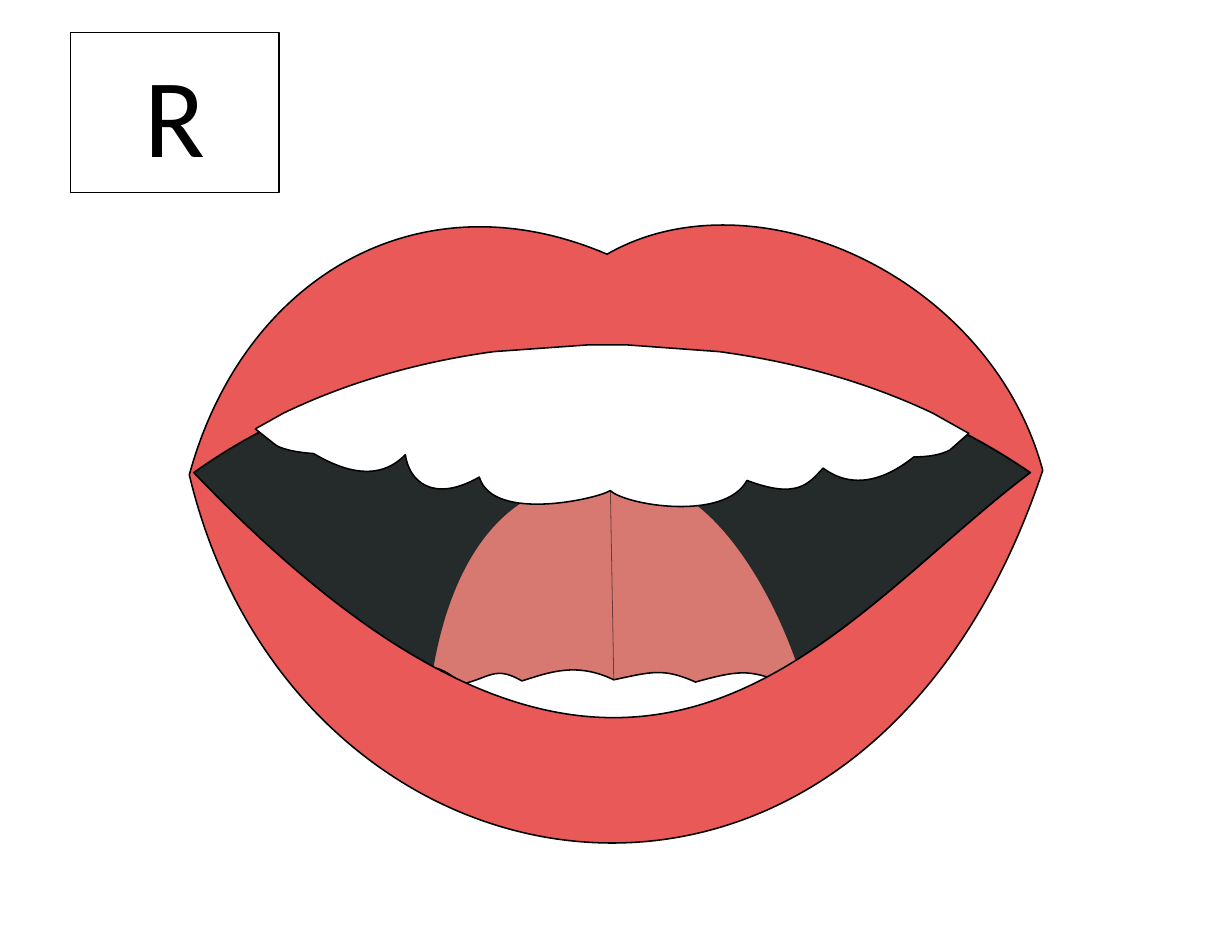
from lxml import etree
from pptx import Presentation
from pptx.dml.color import RGBColor
from pptx.enum.shapes import MSO_CONNECTOR, MSO_SHAPE
from pptx.enum.text import MSO_ANCHOR, MSO_AUTO_SIZE, PP_ALIGN
from pptx.oxml.ns import qn
from pptx.util import Inches, Pt

WHITE = RGBColor(0xFF, 0xFF, 0xFF)
BLACK = RGBColor(0, 0, 0)
DARK = RGBColor(0x25, 0x2B, 0x2A)
PINK = RGBColor(0xD7, 0x79, 0x71)
RED = RGBColor(0xE9, 0x59, 0x58)

# Each outline is a start point, then segments: two numbers make
# a straight line, six make a cubic curve. Inches from the mouth's corner.
CAVITY = [(4.44, 1.12),
          (5.79, 1.12, 7.14, 1.49, 8.2, 2.22),
          (6.34, 3.62, 4.68, 6.35, 0.73, 2.22),
          (1.75, 1.49, 3.09, 1.12, 4.44, 1.12)]
TONGUE = [(4.49, 2.31),
          (5.54, 2.04, 6.36, 4.24, 6.24, 4.62),
          (4.67, 6.04, 3.16, 5.08, 2.79, 4.74),
          (2.83, 3.1, 3.48, 2.17, 4.49, 2.31)]
LOWER = [(2.72, 4.59),
         (1.9, 4.55, 2.6, 3.57, 3.12, 4.11),
         (3.38, 4.05, 3.42, 3.94, 3.66, 4.08),
         (3.91, 4, 4.15, 3.91, 4.48, 4.07),
         (4.81, 4, 4.92, 3.96, 5.21, 4.09),
         (5.67, 3.96, 5.7, 4, 6.03, 4.1),
         (6.62, 3.63, 7.14, 4.53, 6.59, 4.61),
         (4.98, 4.87, 4.08, 5.03, 2.72, 4.59)]
LIPS = [(5.52, 0.01),
        (6.69, 0.04, 7.96, 0.9, 8.31, 2.2),
        (6.69, 7.05, 1.63, 6.19, 0.69, 2.24),
        (1.17, 0.48, 2.74, -0.45, 4.42, 0.27),
        (4.75, 0.08, 5.13, 0, 5.52, 0.01)]
UPPER = [(4.25, 1.08), (4.6, 1.08), (5.42, 1.14),
         (6.09, 1.23, 6.74, 1.41, 7.33, 1.69),
         (7.65, 1.87), (7.48, 2.02),
         (7.4, 2.06, 7.3, 2.08, 7.16, 2.08),
         (6.91, 2.28, 6.62, 2.38, 6.35, 2.18),
         (6.22, 2.32, 6.12, 2.46, 5.67, 2.29),
         (5.47, 2.66, 4.58, 2.51, 4.45, 2.38),
         (4.35, 2.45, 3.4, 2.67, 3.28, 2.26),
         (2.86, 2.5, 2.65, 2.29, 2.62, 2.06),
         (2.35, 2.34, 1.99, 2.16, 1.8, 2.05),
         (1.66, 2.04, 1.55, 2.02, 1.47, 1.98),
         (1.28, 1.83), (1.53, 1.69),
         (2.11, 1.41, 2.75, 1.23, 3.41, 1.14),
         (4.25, 1.08)]
# Frame (left, top, width, height), outlines, fill, line; back to front.
PARTS = [((0.73, 1.12, 7.46, 3.29), [CAVITY], DARK, BLACK),
         ((2.79, 2.28, 3.46, 3.09), [TONGUE], PINK, DARK),
         ((2.34, 3.95, 4.48, 0.92), [LOWER], WHITE, BLACK),
         ((0.69, 0.01, 7.62, 5.52), [LIPS, CAVITY], RED, BLACK),
         ((1.28, 1.08, 6.37, 1.44), [UPPER], WHITE, BLACK)]


def paint(shape, fill, line):
    shape.fill.solid()
    shape.fill.fore_color.rgb = fill
    shape.line.color.rgb = line
    shape.line.width = Pt(1)


def add_step(track, tag, nums, x, y):
    """Add one drawing step, its points measured from x, y."""
    step = etree.SubElement(track, qn(tag))
    for px, py in zip(nums[::2], nums[1::2]):
        etree.SubElement(step, qn("a:pt"), x=str(Inches(px - x)),
                         y=str(Inches(py - y)))


def add_part(group, left, top, frame, outlines):
    """Add a freeform with the given frame and curved outlines."""
    x, y, width, height = frame
    start = left + Inches(x), top + Inches(y)
    end = start[0] + Inches(width), start[1] + Inches(height)
    pen = group.shapes.build_freeform(*start, scale=1.0)
    pen.add_line_segments([end])
    part = pen.convert_to_shape()
    track = part.element.spPr.find(".//" + qn("a:path"))
    for step in list(track):
        track.remove(step)
    for first, *rest in outlines:
        add_step(track, "a:moveTo", first, x, y)
        for seg in rest:
            tag = "a:lnTo" if len(seg) == 2 else "a:cubicBezTo"
            add_step(track, tag, seg, x, y)
        etree.SubElement(track, qn("a:close"))
    part.shadow.inherit = False
    return part


def add_crease(group, left, top):
    crease = group.shapes.add_connector(
        MSO_CONNECTOR.STRAIGHT, left + Inches(4.45), top + Inches(2.38),
        left + Inches(4.48), top + Inches(4.07))
    crease.line.color.rgb = BLACK
    crease.line.width = Pt(0.5)
    props = crease.element.spPr
    color = props.find(".//" + qn("a:srgbClr"))
    etree.SubElement(color, qn("a:alpha"), val="50000")
    etree.SubElement(props, qn("a:effectLst"))


def add_mouth(slide, left, top):
    group = slide.shapes.add_group_shape()
    for frame, outlines, fill, line in PARTS:
        paint(add_part(group, left, top, frame, outlines), fill, line)
    add_crease(group, left, top)


def add_backdrop(slide, width, height):
    rect = slide.shapes.add_shape(MSO_SHAPE.RECTANGLE, 0, 0, width, height)
    rect.shadow.inherit = False
    paint(rect, WHITE, WHITE)
    # The backdrop lies beneath the title.
    rect.element.addnext(slide.shapes.title.element)


def add_card(slide, left, top, width, height):
    card = slide.shapes.title
    card.left, card.top, card.width, card.height = left, top, width, height
    paint(card, WHITE, BLACK)
    frame = card.text_frame
    frame.text = "R"
    frame.auto_size = MSO_AUTO_SIZE.NONE
    frame.vertical_anchor = MSO_ANCHOR.MIDDLE
    para = frame.paragraphs[0]
    para.alignment = PP_ALIGN.CENTER
    para.font.name = "Calibri"
    para.font.size = Pt(72)
    para.font.color.rgb = BLACK


def main():
    deck = Presentation()
    deck.slide_width, deck.slide_height = Inches(11), Inches(8.5)
    slide = deck.slides.add_slide(deck.slide_layouts[5])
    add_backdrop(slide, deck.slide_width, deck.slide_height)
    add_card(slide, Inches(0.63), Inches(0.29), Inches(1.86), Inches(1.43))
    add_mouth(slide, Inches(1), Inches(2))
    deck.save("out.pptx")


if __name__ == "__main__":
    main()
